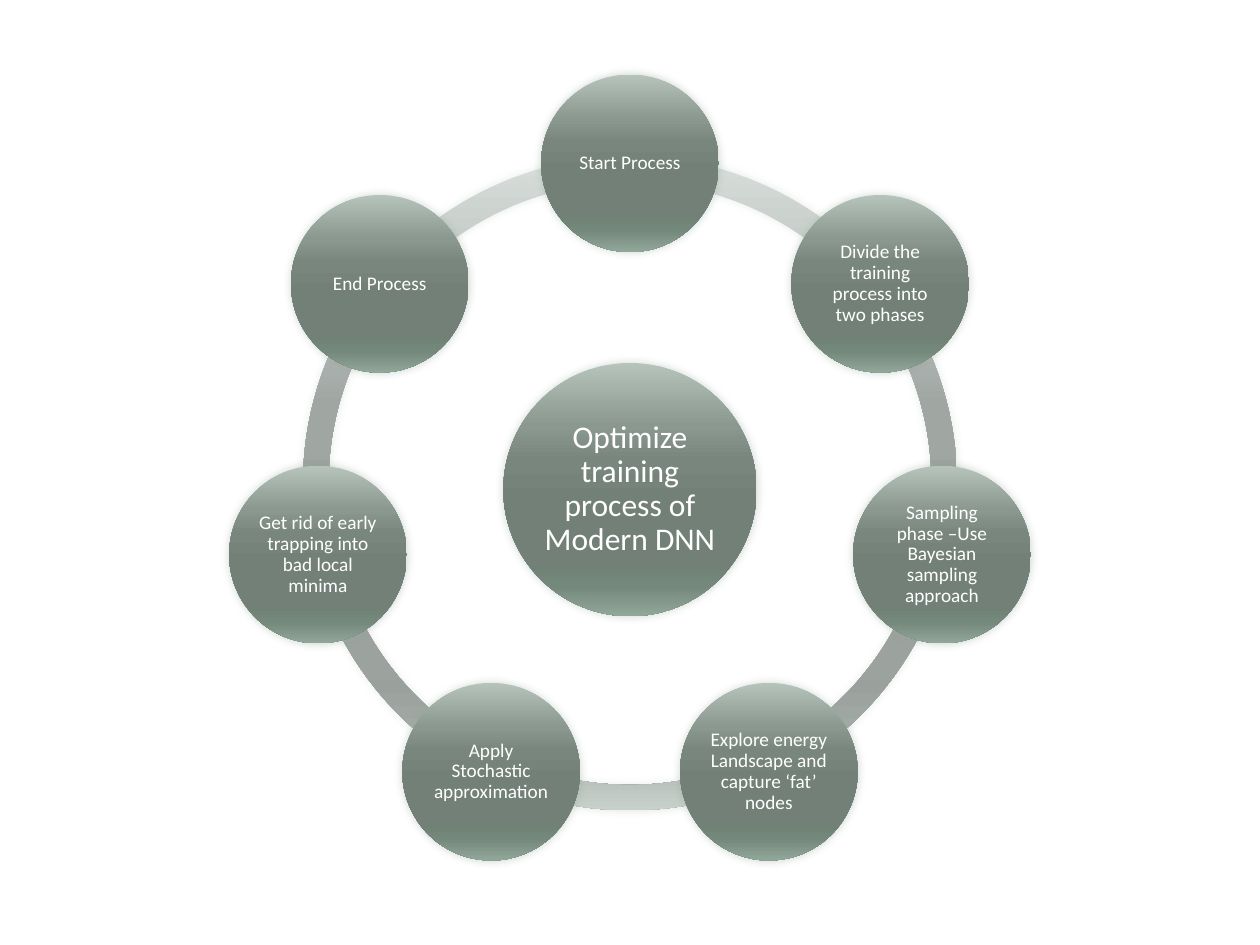
import dataclasses
import math

import lxml.etree
import pptx
import pptx.dml.color
import pptx.enum.shapes
import pptx.enum.text
import pptx.oxml
import pptx.oxml.ns
import pptx.util

SLIDE_W, SLIDE_H = 10, 7.5
CX, CY = 0.5 * SLIDE_W, 0.5115 * SLIDE_H
RING_SIZE, RING_THICKNESS = 5.19, 0.039
ORBIT = 2.54
STOPS = (0, 25, 38, 55, 80, 88, 100)
RING_COLOURS = ("D7DEDA", "B7BDBA", "A0A6A2", "9CA29E", "9AA19D", "A2AAA5", "C7D0CA")
DISC_COLOURS = ("B6C3BB", "8B9890", "79867E", "728078", "708176", "75887C", "91A79A")
OVAL = pptx.enum.shapes.MSO_SHAPE.OVAL
ARC = pptx.enum.shapes.MSO_SHAPE.BLOCK_ARC


@dataclasses.dataclass(frozen=True)
class Disc:
    """A labelled circle given by its centre and diameter in inches."""
    text: str
    x: float
    y: float
    size: float
    points: float
    inset: float


def rgb(value: str) -> pptx.dml.color.RGBColor:
    """Turn a hex string into a colour."""
    return pptx.dml.color.RGBColor.from_string(value)


def apply(target: object, values: dict) -> None:
    """Set attributes from a dict of format values."""
    for name, value in values.items():
        setattr(target, name, value)


def child(parent, tag: str, **attributes: object):
    """Append a DrawingML element."""
    return lxml.etree.SubElement(parent, pptx.oxml.ns.qn("a:" + tag),
                                 {k: str(v) for k, v in attributes.items()})


def add_round(s, kind, x: float, y: float, size: float, colours: tuple):
    """Draw a centred shape with a vertical gradient and a soft halo."""
    sp = s.shapes.add_shape(kind, *(pptx.util.Inches(v) for v in
                                    (x - size / 2, y - size / 2, size, size)))
    props = sp._element.spPr
    fill = child(props, "gradFill", rotWithShape=1)
    stops = child(fill, "gsLst")
    for position, colour in zip(STOPS, colours):
        child(child(stops, "gs", pos=position * 1000), "srgbClr", val=rgb(colour))
    child(fill, "lin", ang=90 * 60000, scaled=0)
    sp.line.fill.background()
    halo = child(child(props, "effectLst"), "outerShdw", blurRad=pptx.util.Pt(5),
                 dist=0, dir=0, algn="ctr", rotWithShape=0)
    child(child(halo, "srgbClr", val=rgb(colours[-1])), "alpha", val=45000)
    return sp


def add_arc(s, start: float, end: float) -> None:
    """Draw one ring segment between two angles in degrees."""
    sp = add_round(s, ARC, CX, CY, RING_SIZE, RING_COLOURS)
    for i, value in enumerate((start % 360 * 0.6, end % 360 * 0.6, RING_THICKNESS)):
        sp.adjustments[i] = value


def add_disc(s, disc: Disc) -> None:
    """Draw a circle with its centred label."""
    tf = add_round(s, OVAL, disc.x, disc.y, disc.size, DISC_COLOURS).text_frame
    apply(tf, {"word_wrap": True, "vertical_anchor": pptx.enum.text.MSO_ANCHOR.MIDDLE})
    apply(tf, {f"margin_{side}": pptx.util.Inches(disc.inset)
               for side in ("left", "top", "right", "bottom")})
    p = tf.paragraphs[0]
    apply(p, {"alignment": pptx.enum.text.PP_ALIGN.CENTER, "line_spacing": 0.9})
    r = p.add_run()
    r.text = disc.text
    apply(r.font, {"name": "Calibri", "size": pptx.util.Pt(disc.points)})
    r.font.color.rgb = rgb("FFFFFF")


STEPS = (
    "Start Process",
    "Divide the training process into two phases",
    "Sampling phase –Use Bayesian sampling approach",
    "Explore energy Landscape and capture ‘fat’ nodes",
    "Apply Stochastic approximation",
    "Get rid of early trapping into bad local minima",
    "End Process",
)


def main() -> None:
    """Build the cycle diagram."""
    prs = pptx.Presentation()
    apply(prs, {"slide_width": pptx.util.Inches(SLIDE_W),
                "slide_height": pptx.util.Inches(SLIDE_H)})
    s = prs.slides.add_slide(prs.slide_layouts[6])
    turn = 360 / len(STEPS)
    angles = [270 + i * turn for i in range(len(STEPS))]
    for angle in reversed(angles):
        add_arc(s, angle, angle + turn)
    add_disc(s, Disc("Optimize training process of Modern DNN", CX, CY + 0.05, 2.01, 18, 0.03))
    for text, angle in zip(STEPS, angles):
        a = math.radians(angle)
        add_disc(s, Disc(text, CX + ORBIT * math.cos(a), CY + ORBIT * math.sin(a),
                         1.41, 11, 0.02))
    prs.save("out.pptx")


main()
